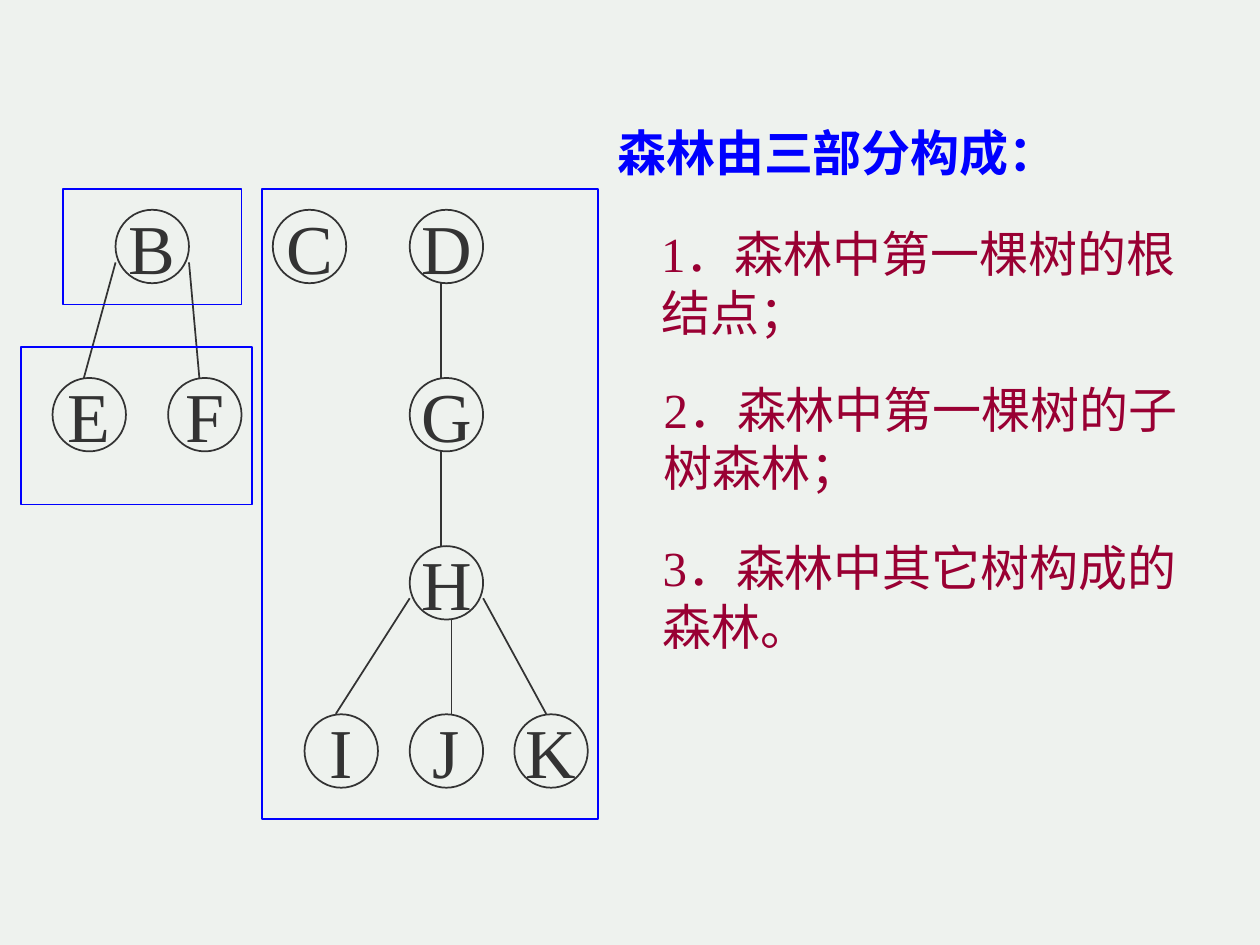
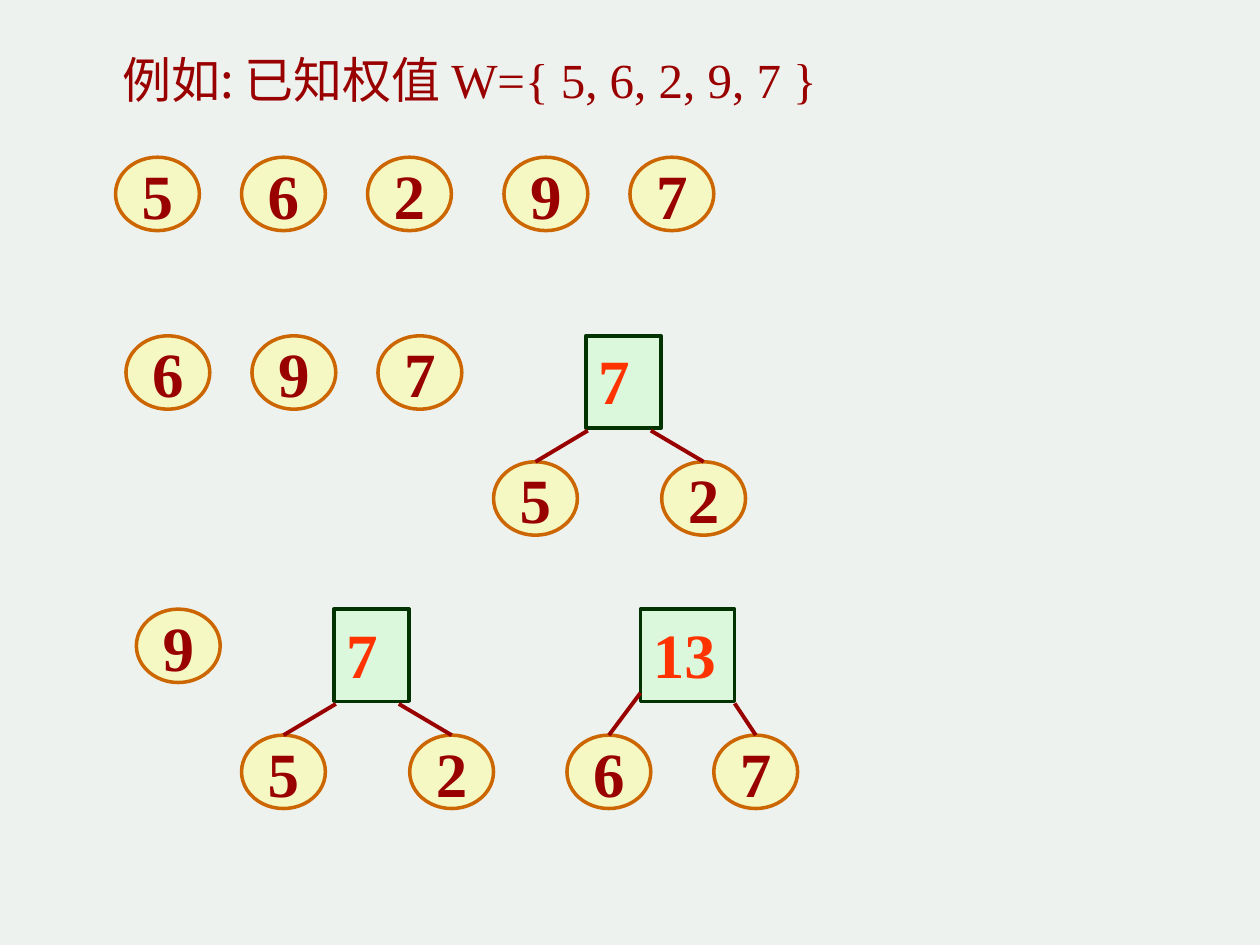
from lxml import etree
from pptx import Presentation
from pptx import util as u
from pptx.dml import color
from pptx.enum import shapes, text
from pptx.oxml import ns

SERIF = "Times New Roman"
CJK = "Noto Sans CJK SC"
BACKGROUND, INK, BLUE = "EEF2EE", "333333", "0000FF"
CRIMSON, DARK_RED, ORANGE_RED = "990033", "990000", "FF3300"
ORANGE, YELLOW, GREEN, DARK_GREEN = "CC6600", "FFFF99", "CCFFCC", "003300"
CIRCLE = 1.48
LEAF_WIDTH = 1.69
LEVEL_STEP = 3.39
LEAF_STEP = 2.54


def rgb(hex_string):
    return color.RGBColor.from_string(hex_string)


def cm(*values):
    return [u.Cm(value) for value in values]


def add_element(parent, tag, **attributes):
    return etree.SubElement(parent, ns.qn(tag), attributes)


class Deck:
    def __init__(self):
        self.presentation = Presentation()
        self.presentation.slide_width, self.presentation.slide_height = cm(25.4, 19.05)
        fill = self.presentation.slide_master.background.fill
        fill.solid()
        fill.fore_color.rgb = rgb(BACKGROUND)
        self.slide = None

    def new_slide(self):
        layout = self.presentation.slide_layouts[5]
        self.slide = self.presentation.slides.add_slide(layout)

    def style(self, paragraph, size, hex_color, bold=False):
        font = paragraph.font
        font.size, font.bold, font.name = u.Pt(size), bold, SERIF
        font.color.rgb = rgb(hex_color)

    def write_line(self, frame, runs, hex_color, bold=False):
        paragraph = frame.paragraphs[0]
        paragraph.alignment = text.PP_ALIGN.LEFT
        paragraph.line_spacing = u.Pt(33.6)
        self.style(paragraph, 28, hex_color, bold)
        for words, font_name in runs:
            run = paragraph.add_run()
            run.text = words
            run.font.name = font_name
            add_element(run._r.get_or_add_rPr(), "a:ea", typeface=CJK)

    def title(self, box, runs, hex_color, bold=False):
        shape = self.slide.shapes.title
        shape.left, shape.top, shape.width, shape.height = cm(*box)
        frame = shape.text_frame
        frame.word_wrap = False
        frame.auto_size = text.MSO_AUTO_SIZE.NONE
        frame.vertical_anchor = text.MSO_ANCHOR.TOP
        self.write_line(frame, runs, hex_color, bold)

    def item(self, box, number, words):
        frame = self.slide.shapes.add_textbox(*cm(*box)).text_frame
        frame.word_wrap = True
        self.write_line(frame, [(number, SERIF), (words, CJK)], CRIMSON)

    def outline(self, kind, box, line, width=1, fill=None):
        shape = self.slide.shapes.add_shape(kind, *cm(*box))
        shape.shadow.inherit = False
        shape.line.color.rgb = rgb(line)
        shape.line.width = u.Pt(width)
        if fill:
            shape.fill.solid()
            shape.fill.fore_color.rgb = rgb(fill)
            solid = shape._element.spPr.find(ns.qn("a:solidFill"))
            add_element(solid[0], "a:alpha", val="50000")
        else:
            shape.fill.background()
        return shape

    def label(self, shape, words, hex_color, size=36, bold=True, centred=True):
        frame = shape.text_frame
        frame.word_wrap = False
        frame.vertical_anchor = text.MSO_ANCHOR.MIDDLE if centred else text.MSO_ANCHOR.TOP
        paragraph = frame.paragraphs[0]
        paragraph.text = words
        paragraph.alignment = text.PP_ALIGN.CENTER if centred else text.PP_ALIGN.LEFT
        self.style(paragraph, size, hex_color, bold)

    def node(self, left, top, letter):
        shape = self.outline(shapes.MSO_SHAPE.OVAL, (left, top, CIRCLE, CIRCLE), INK)
        self.label(shape, letter, INK, 40, False)

    def frame(self, *box):
        self.outline(shapes.MSO_SHAPE.RECTANGLE, box, BLUE)

    def leaf(self, left, top, weight):
        shape = self.outline(shapes.MSO_SHAPE.OVAL, (left, top, LEAF_WIDTH, CIRCLE), ORANGE, 2, YELLOW)
        self.label(shape, weight, DARK_RED)

    def leaf_row(self, left, top, weights):
        for index, weight in enumerate(weights):
            self.leaf(left + index * LEAF_STEP, top, weight)

    def line(self, start, end, hex_color=INK, width=1):
        connector = self.slide.shapes.add_connector(
            shapes.MSO_CONNECTOR.STRAIGHT, *cm(*start, *end))
        connector.line.color.rgb = rgb(hex_color)
        connector.line.width = u.Pt(width)
        add_element(connector._element.spPr, "a:effectLst")

    def weight_tree(self, left, top, width, total, children):
        root = self.outline(shapes.MSO_SHAPE.RECTANGLE, (left, top, width, 1.86), DARK_GREEN, 2, GREEN)
        self.label(root, total, ORANGE_RED, centred=False)
        child_top = top + LEAF_STEP
        for weight, child_offset, (x, y) in children:
            child_left = left + child_offset
            self.leaf(child_left, child_top, weight)
            self.line((left + x, top + y), (child_left + LEAF_WIDTH / 2, child_top), DARK_RED, 2.25)


def build_forest(deck):
    deck.new_slide()
    deck.title((12.19, 2.34, 9.45, 1.45), [("森林由三部分构成：", SERIF)], BLUE, True)
    levels = [
        [("B", 2.33), ("C", 5.5), ("D", 8.26)],
        [("E", 1.06), ("F", 3.39), ("G", 8.26)],
        [("H", 8.26)],
        [("I", 6.14), ("J", 8.26), ("K", 10.37)],
    ]
    for level, nodes in enumerate(levels):
        for letter, left in nodes:
            deck.node(left, 4.23 + level * LEVEL_STEP, letter)
    branches = [
        ((2.33, 5.29), (1.69, 7.62)),
        ((3.81, 5.29), (4.02, 7.62)),
        ((8.89, 5.71), (8.89, 7.62)),
        ((8.89, 9.1), (8.89, 11.01)),
        ((9.1, 12.49), (9.1, 14.39)),
        ((8.26, 12.06), (6.77, 14.39)),
        ((9.74, 12.06), (11.01, 14.39)),
    ]
    for start, end in branches:
        deck.line(start, end)
    deck.frame(1.27, 3.81, 3.6, 2.33)
    deck.frame(0.42, 6.99, 4.66, 3.18)
    deck.frame(5.29, 3.81, 6.77, 12.7)
    deck.item((13.08, 4.39, 11.23, 2.62), "1", "．森林中第一棵树的根结点；")
    deck.item((13.13, 7.52, 11.63, 2.62), "2", "．森林中第一棵树的子树森林；")
    deck.item((13.11, 10.72, 11.61, 2.62), "3", "．森林中其它树构成的森林。")


def build_weights(deck):
    deck.new_slide()
    deck.title((2.21, 0.87, 15.29, 1.45),
               [("例如: 已知权值 ", CJK), ("W={ 5, 6, 2, 9, 7 }", SERIF)], DARK_RED)
    deck.leaf_row(2.33, 3.17, "562")
    deck.leaf_row(10.16, 3.17, "97")
    deck.leaf_row(2.54, 6.77, "697")
    deck.leaf_row(2.75, 12.28, "9")
    seven = [("5", -1.86, (0.04, 1.91)), ("2", 1.53, (1.31, 1.91))]
    thirteen = [("6", -1.48, (0, 1.69)), ("7", 1.48, (1.9, 1.9))]
    deck.weight_tree(11.81, 6.77, 1.52, "7", seven)
    deck.weight_tree(6.73, 12.28, 1.52, "7", seven)
    deck.weight_tree(12.91, 12.28, 1.9, "13", thirteen)


def main():
    deck = Deck()
    build_forest(deck)
    build_weights(deck)
    deck.presentation.save("out.pptx")


if __name__ == "__main__":
    main()
